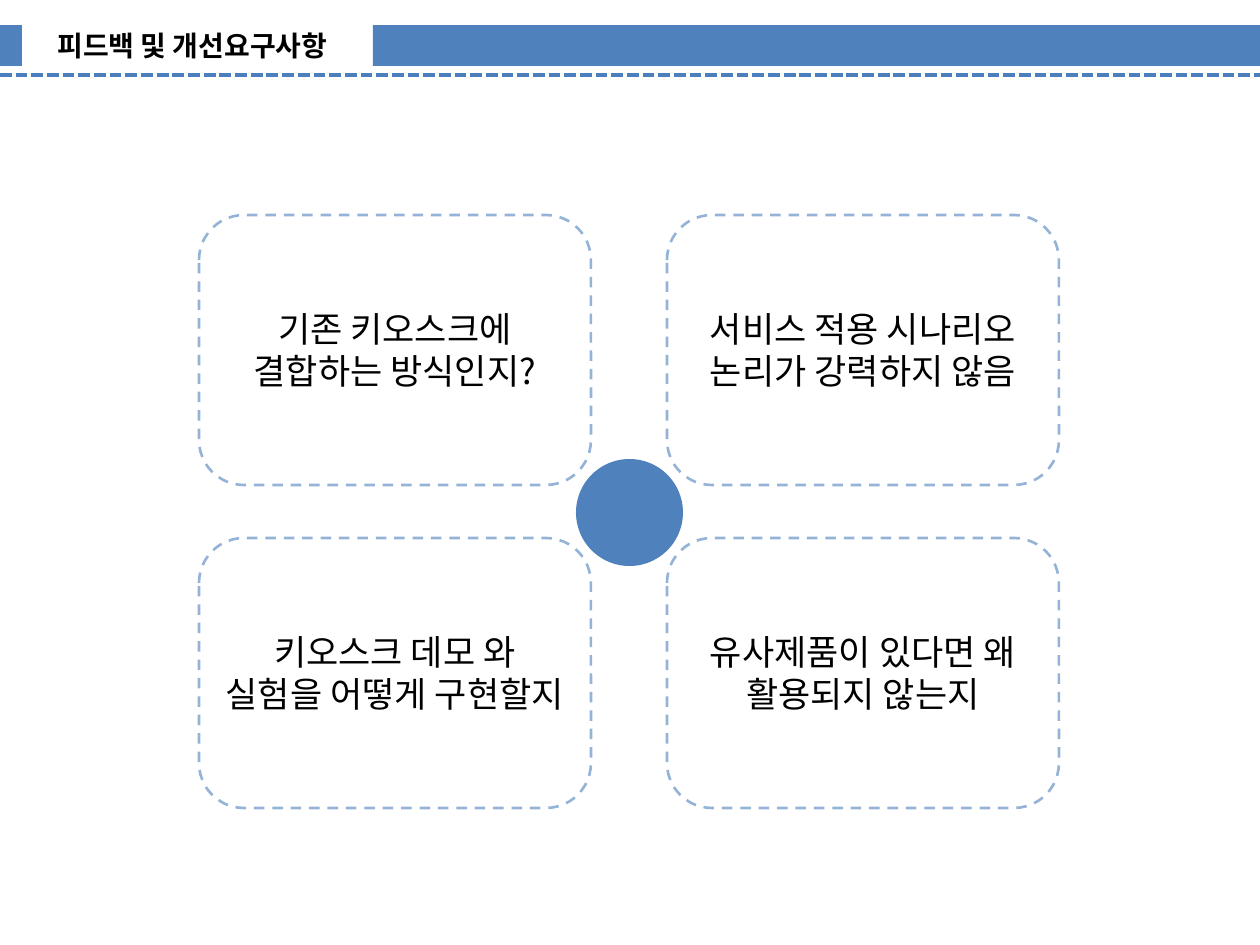
from lxml.etree import SubElement
from pptx import Presentation
from pptx.dml.color import RGBColor
from pptx.enum.dml import MSO_LINE
from pptx.enum.shapes import MSO_CONNECTOR, MSO_SHAPE
from pptx.enum.text import MSO_ANCHOR, PP_ALIGN
from pptx.oxml.ns import qn
from pptx.util import Pt

FONT = "Noto Sans CJK KR"
BLUE = RGBColor(0x4F, 0x81, 0xBD)
RULE = RGBColor(0x4B, 0x7E, 0xBC)
PALE = RGBColor(0x95, 0xB3, 0xD7)
BLACK = RGBColor(0, 0, 0)
SCALE = 914400 / 126


def px(*nums):
    return [round(n * SCALE) for n in nums]


def write(shape, text, size, bold, align, anchor):
    frame = shape.text_frame
    frame.vertical_anchor = anchor
    para = frame.paragraphs[0]
    para.alignment = align
    run = para.add_run()
    run.text = text
    font = run.font
    font.name = FONT
    font.size = Pt(size)
    font.bold = bold
    font.color.rgb = BLACK
    SubElement(run._r.get_or_add_rPr(), qn("a:ea")).set("typeface", FONT)


deck = Presentation()
deck.slide_width, deck.slide_height = px(1260, 945)
slide = deck.slides.add_slide(deck.slide_layouts[5])
shapes = slide.shapes

title = shapes.title
title.left, title.top, title.width, title.height = px(45, 22, 295, 46)
title.text_frame.word_wrap = False
write(title, "피드백 및 개선요구사항", 16, True, PP_ALIGN.LEFT, MSO_ANCHOR.TOP)

cards = [
    "기존 키오스크에 결합하는 방식인지?",
    "서비스 적용 시나리오 논리가 강력하지 않음",
    "키오스크 데모 와 실험을 어떻게 구현할지",
    "유사제품이 있다면 왜 활용되지 않는지",
]
for i, text in enumerate(cards):
    row, col = divmod(i, 2)
    spot = px(199 + 468 * col, 215 + 323 * row, 392, 270)
    card = shapes.add_shape(MSO_SHAPE.ROUNDED_RECTANGLE, *spot)
    card.shadow.inherit = False
    card.fill.background()
    card.line.color.rgb = PALE
    card.line.width = Pt(1.5)
    card.line.dash_style = MSO_LINE.DASH
    card.text_frame.word_wrap = True
    write(card, text, 20, False, PP_ALIGN.CENTER, MSO_ANCHOR.MIDDLE)

solids = [
    (MSO_SHAPE.OVAL, 576, 459, 107, 107),
    (MSO_SHAPE.RECTANGLE, 0, 25, 22, 41),
    (MSO_SHAPE.RECTANGLE, 373, 25, 887, 41),
]
for kind, *spot in solids:
    solid = shapes.add_shape(kind, *px(*spot))
    solid.shadow.inherit = False
    solid.fill.solid()
    solid.fill.fore_color.rgb = BLUE
    solid.line.fill.background()

rule = shapes.add_connector(MSO_CONNECTOR.STRAIGHT, *px(0, 75, 1260, 75))
rule.line.color.rgb = RULE
rule.line.width = Pt(2.25)
rule.line.dash_style = MSO_LINE.SQUARE_DOT
SubElement(rule._element.spPr, qn("a:effectLst"))

deck.save("out.pptx")
